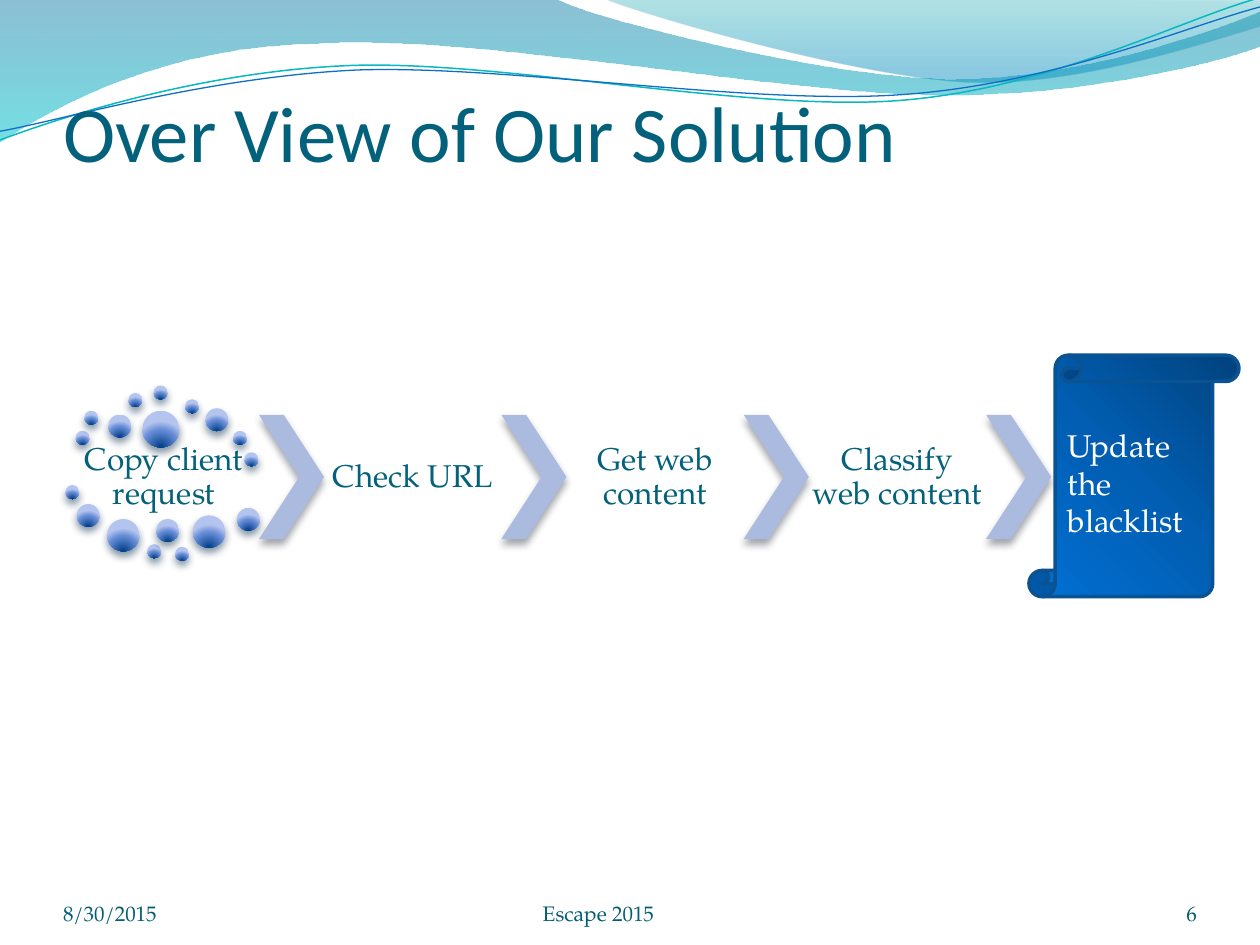
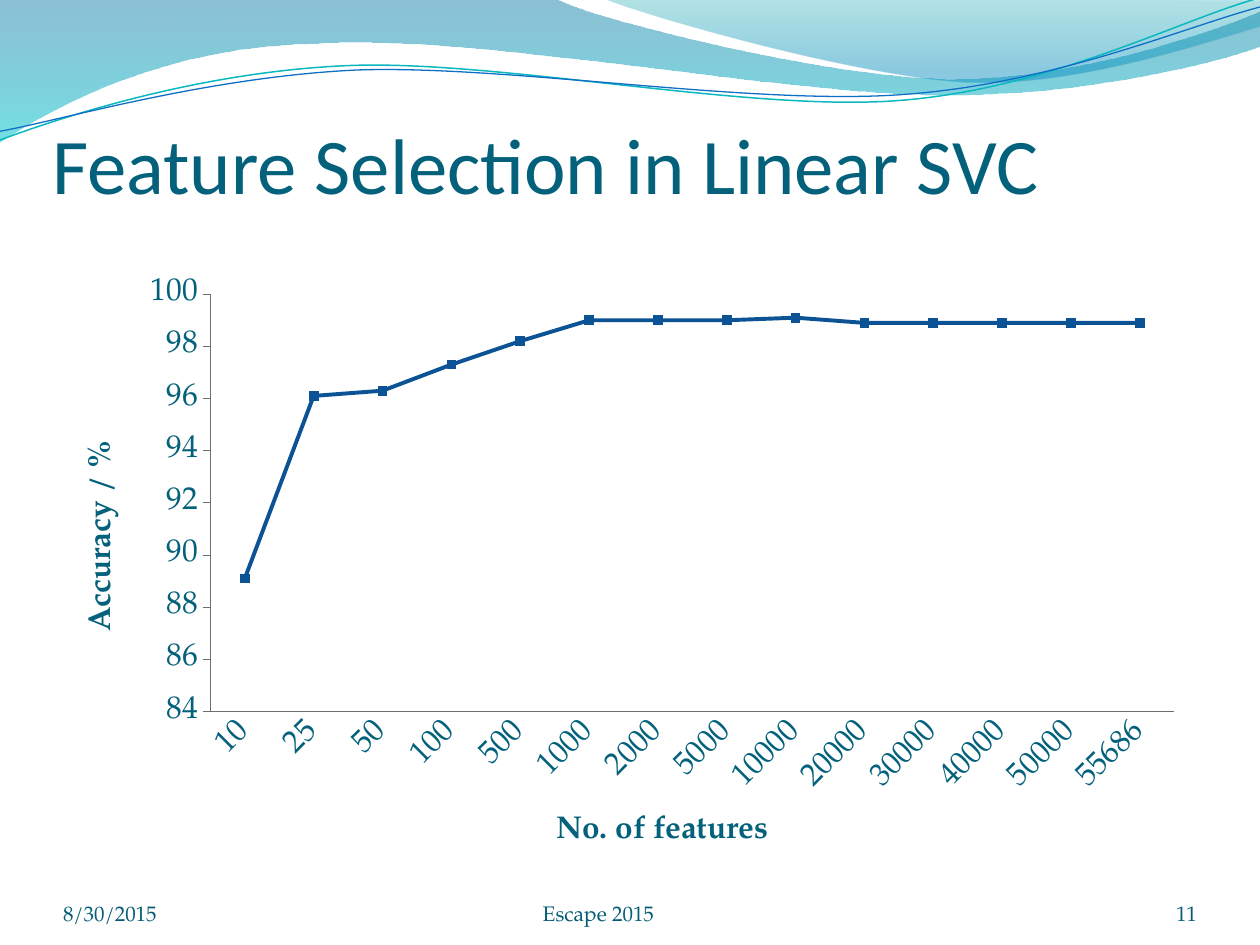
from collections import namedtuple

from lxml.etree import Element, SubElement
from pptx import Presentation
from pptx.chart.data import CategoryChartData
from pptx.dml.color import RGBColor
from pptx.enum.chart import XL_CHART_TYPE, XL_MARKER_STYLE, XL_TICK_MARK
from pptx.enum.shapes import MSO_SHAPE
from pptx.enum.text import MSO_ANCHOR, MSO_AUTO_SIZE, PP_ALIGN
from pptx.oxml.ns import qn
from pptx.util import Pt

COLORS = {
    "title": "04617B",
    "footer": "045D75",
    "white": "FFFFFF",
    "chevron": "ABBBDF",
    "chevron_shadow": "3C414F",
    "dot_shadow": "042747",
    "scroll_line": "0B5292",
    "teal_line": "0AB8BF",
    "blue_line": "0F6FC6",
    "series": "0B5394",
    "axis": "6E6E6E",
}
# Gradient stops: position %, colour, opacity %
GRADIENTS = {
    "wave": [(0, "0074A1", 45), (100, "00C6CF", 55)],
    "crest": [(0, "00A1A9", 30), (80, "008BBF", 45)],
    "dot": [(0, "003D87", 100), (68, "668DD7", 100), (100, "B3C4EF", 100)],
    "scroll": [(0, "01427D", 100), (50, "015EB2", 100), (100, "0170D4", 100)],
}
TITLE_FONT, BODY_FONT = "Calibri", "TeX Gyre Pagella"
Box = namedtuple("Box", "left top width height")

# Outlines in points: a pair is a straight step, three pairs are a curve
WAVE = [
    (0, 0), (317, -1),
    ((343, 12), (478, 45), (546, 45)), ((614, 45), (690, 19), (720, 6.5)),
    (721, 26),
    ((708, 32), (626, 55), (537, 54)), ((448, 54), (275, 20), (185, 24.5)),
    ((93, 26), (33, 60), (-1, 81.5)),
]
CREST = [
    (345, -1),
    ((366, 8), (491, 44.5), (554, 47)), ((616, 49.5), (692, 23), (720, 15)),
    (720, 0),
]
TEAL_CURVE = [
    (0, 80),
    ((35, 67), (114, 41), (199, 37.5)), ((284, 34), (427, 64), (513, 57.5)),
    ((600, 51), (675, 11), (719, -1)),
]
BLUE_CURVE = [
    (0, 75),
    ((34, 69), (118, 44), (204, 40)), ((290, 37), (430, 60.5), (516, 54)),
    ((602, 48), (678, 15), (720, 4)),
]

# Left and top of each dot within the flow, by diameter
DOTS = {
    8: [(7.2, 26.2), (12.2, 14.7), (37.4, 4.6), (51.8, 0.3), (69.8, 8.2),
        (97.2, 26.2), (103.7, 38.5), (1.4, 57.2), (48.2, 91), (64.1, 92.5)],
    13: [(25.9, 16.9), (81.4, 13.3), (7.9, 68), (53.3, 76.6), (99.4, 70.2)],
    18.5: [(25.2, 76.6), (74.2, 74.5)],
    21: [(45.4, 14.7)],
}
ACCURACY = {
    "10": 89.1, "25": 96.1, "50": 96.3, "100": 97.3, "500": 98.2,
    "1000": 99, "2000": 99, "5000": 99, "10000": 99.1, "20000": 98.9,
    "30000": 98.9, "40000": 98.9, "50000": 98.9, "55686": 98.9,
}
# Place of the plot within the chart, as fractions
PLOT_AREA = {"x": 0.13, "y": 0.045, "w": 0.85, "h": 0.69}


def rgb(name):
    return RGBColor.from_string(COLORS[name])


def points(*lengths):
    return [Pt(length) for length in lengths]


def fill_gradient(shape, name, angle=None):
    """Fill linearly at the angle, or from a circle below when there is none."""
    shape.fill.background()
    properties = shape.element.spPr
    blank = properties.find(qn("a:noFill"))
    gradient = SubElement(properties, qn("a:gradFill"), rotWithShape="1")
    properties.replace(blank, gradient)
    stops = SubElement(gradient, qn("a:gsLst"))
    for position, color, opacity in GRADIENTS[name]:
        stop = SubElement(stops, qn("a:gs"), pos=str(position * 1000))
        shade = SubElement(stop, qn("a:srgbClr"), val=color)
        if opacity < 100:
            SubElement(shade, qn("a:alpha"), val=str(opacity * 1000))
    if angle is None:
        circle = SubElement(gradient, qn("a:path"), {"path": "circle"})
        SubElement(circle, qn("a:fillToRect"),
                   l="50000", t="130000", r="50000", b="-30000")
    else:
        SubElement(gradient, qn("a:lin"), ang=str(angle * 60000), scaled="0")


def drop_shadow(shape, color):
    effects = shape.element.spPr.find(qn("a:effectLst"))
    shadow = SubElement(effects, qn("a:outerShdw"), blurRad=str(Pt(4.5)),
                        dist=str(Pt(3)), dir="5400000", rotWithShape="0")
    shade = SubElement(shadow, qn("a:srgbClr"), val=COLORS[color])
    SubElement(shade, qn("a:alpha"), val="48000")


def add_plain_shape(page, kind, box):
    shape = page.shapes.add_shape(kind, *points(*box))
    shape.shadow.inherit = False
    shape.line.fill.background()
    return shape


def write_text(shape, text, size, color, align=PP_ALIGN.LEFT,
               anchor=MSO_ANCHOR.MIDDLE, insets=None, font=BODY_FONT, spacing=None):
    frame = shape.text_frame
    frame.word_wrap = True
    frame.auto_size = MSO_AUTO_SIZE.NONE
    frame.vertical_anchor = anchor
    if insets:
        (frame.margin_left, frame.margin_top,
         frame.margin_right, frame.margin_bottom) = points(*insets)
    para = frame.paragraphs[0]
    para.text = text
    para.alignment = align
    para.line_spacing = spacing
    para.font.name = font
    para.font.size = Pt(size)
    para.font.color.rgb = rgb(color)


def add_outline(page, outline, close):
    """Build a freeform through every corner, then bend the curved parts."""
    start, *parts = outline
    parts = [part if isinstance(part[0], tuple) else (part,) for part in parts]
    builder = page.shapes.build_freeform(*points(*start))
    builder.add_line_segments(
        [points(*corner) for part in parts for corner in part], close=close)
    shape = builder.convert_to_shape()
    shape.shadow.inherit = False
    lines = iter(list(shape.element.spPr.iter(qn("a:lnTo"))))
    for part in parts:
        steps = [next(lines) for _ in part]
        if len(steps) == 3:
            curve = Element(qn("a:cubicBezTo"))
            steps[0].addprevious(curve)
            for step in steps:
                curve.append(step[0])
                step.getparent().remove(step)
    return shape


def move_waves_to_layout(page):
    """Draw the wave band on the page and hand it to the shared layout."""
    waves = []
    for outline, gradient in ((WAVE, "wave"), (CREST, "crest")):
        wave = add_outline(page, outline, True)
        wave.line.fill.background()
        fill_gradient(wave, gradient, 90)
        waves.append(wave)
    for outline, color, width in ((TEAL_CURVE, "teal_line", 0.85),
                                  (BLUE_CURVE, "blue_line", 0.75)):
        curve = add_outline(page, outline, False)
        curve.fill.background()
        curve.line.color.rgb = rgb(color)
        curve.line.width = Pt(width)
        waves.append(curve)
    for wave in waves:
        page.slide_layout.shapes.element.append(wave.element)


def set_title(page, text, box):
    title = page.shapes.title
    title.left, title.top, title.width, title.height = points(*box)
    write_text(title, text, 45, "title", anchor=MSO_ANCHOR.BOTTOM,
               insets=(0, 3.6, 0, 0), font=TITLE_FONT)


def add_footer(page, number):
    for text, left, width, align in (
            ("8/30/2015", 36, 168, PP_ALIGN.LEFT),
            ("Escape 2015", 210, 264, PP_ALIGN.CENTER),
            (str(number), 624, 60, PP_ALIGN.RIGHT)):
        field = page.shapes.add_textbox(*points(left, 500.4, width, 28.8))
        write_text(field, text, 12, "footer", align, MSO_ANCHOR.BOTTOM, (0, 0, 0, 0))


def add_step_label(page, text, box):
    label = page.shapes.add_textbox(*points(*box))
    write_text(label, text, 18, "title", PP_ALIGN.CENTER,
               insets=(2.2, 2.2, 2.2, 2.2), spacing=0.9)


def add_dot_cloud(page, text, box):
    add_step_label(page, text, (box.left + 7.2, box.top + 36.3, 101, 33))
    for size, places in DOTS.items():
        for left, top in places:
            dot = add_plain_shape(page, MSO_SHAPE.OVAL,
                                  (box.left + left, box.top + top, size, size))
            fill_gradient(dot, "dot")
            drop_shadow(dot, "dot_shadow")


def add_flow(page, box):
    first, *steps = ["Copy client request", "Check URL", "Get web content",
                     "Classify web content"]
    add_dot_cloud(page, first, box)
    chevron_width, label_width, height = 37.2, 101.3, 71
    top = box.top + 17
    for index in range(len(steps) + 1):
        left = box.left + 112 + index * (chevron_width + label_width)
        chevron = add_plain_shape(page, MSO_SHAPE.CHEVRON,
                                  (left, top, chevron_width, height))
        chevron.adjustments[0] = 0.62
        chevron.fill.solid()
        chevron.fill.fore_color.rgb = rgb("chevron")
        drop_shadow(chevron, "chevron_shadow")
        if index < len(steps):
            add_step_label(page, steps[index],
                           (left + chevron_width, top, label_width, height))


def add_scroll(page, text, box):
    scroll = add_plain_shape(page, MSO_SHAPE.VERTICAL_SCROLL, box)
    fill_gradient(scroll, "scroll", 135)
    scroll.line.color.rgb = rgb("scroll_line")
    scroll.line.width = Pt(2)
    write_text(scroll, text, 18, "white")


def style_axis(axis, title, tick):
    axis.has_major_gridlines = False
    axis.major_tick_mark = tick
    axis.minor_tick_mark = XL_TICK_MARK.NONE
    axis.format.line.color.rgb = rgb("axis")
    axis.format.line.width = Pt(0.5)
    axis.axis_title.text_frame.text = title
    title_font = axis.axis_title.text_frame.paragraphs[0].font
    for font in (axis.tick_labels.font, title_font):
        font.name = BODY_FONT
        font.size = Pt(18)
        font.color.rgb = rgb("title")
    title_font.bold = True


def place_plot(chart):
    area = chart.element.find(".//" + qn("c:plotArea"))
    layout = area.find(qn("c:layout"))
    if layout is None:
        layout = Element(qn("c:layout"))
        area.insert(0, layout)
    manual = SubElement(layout, qn("c:manualLayout"))
    SubElement(manual, qn("c:layoutTarget"), val="inner")
    for side in "xy":
        SubElement(manual, qn(f"c:{side}Mode"), val="edge")
    for side, share in PLOT_AREA.items():
        SubElement(manual, qn(f"c:{side}"), val=str(share))


def add_accuracy_chart(page, box):
    data = CategoryChartData()
    data.categories = list(ACCURACY)
    data.add_series("Series 1", list(ACCURACY.values()))
    chart = page.shapes.add_chart(XL_CHART_TYPE.LINE_MARKERS, *points(*box), data).chart
    chart.has_legend = chart.has_title = False
    chart.font.name = BODY_FONT
    chart.font.size = Pt(18)
    place_plot(chart)
    style_axis(chart.category_axis, "No. of features", XL_TICK_MARK.NONE)
    style_axis(chart.value_axis, "Accuracy / %", XL_TICK_MARK.OUTSIDE)
    chart.value_axis.minimum_scale, chart.value_axis.maximum_scale = 84, 100
    chart.value_axis.major_unit = 2
    chart.plots[0].vary_by_categories = False
    series = chart.plots[0].series[0]
    series.smooth = False
    series.format.line.width = Pt(2.25)
    series.marker.style = XL_MARKER_STYLE.SQUARE
    series.marker.size = 5
    series.marker.format.fill.solid()
    for paint in (series.format.line.color, series.marker.format.line.color,
                  series.marker.format.fill.fore_color):
        paint.rgb = rgb("series")


def main():
    deck = Presentation()
    deck.slide_width, deck.slide_height = points(720, 540)
    solution, features = [deck.slides.add_slide(deck.slide_layouts[5]) for _ in range(2)]
    move_waves_to_layout(solution)

    set_title(solution, "Over View of Our Solution", Box(36, 42, 648, 60))
    add_flow(solution, Box(36, 220, 565, 101))
    add_footer(solution, 6)
    add_scroll(solution, "Update the blacklist", Box(588, 203, 120, 138))

    set_title(features, "Feature Selection in Linear SVC", Box(30, 72, 648, 48))
    add_accuracy_chart(features, Box(36, 152.6, 648, 345.6))
    add_footer(features, 11)
    deck.save("out.pptx")


if __name__ == "__main__":
    main()
